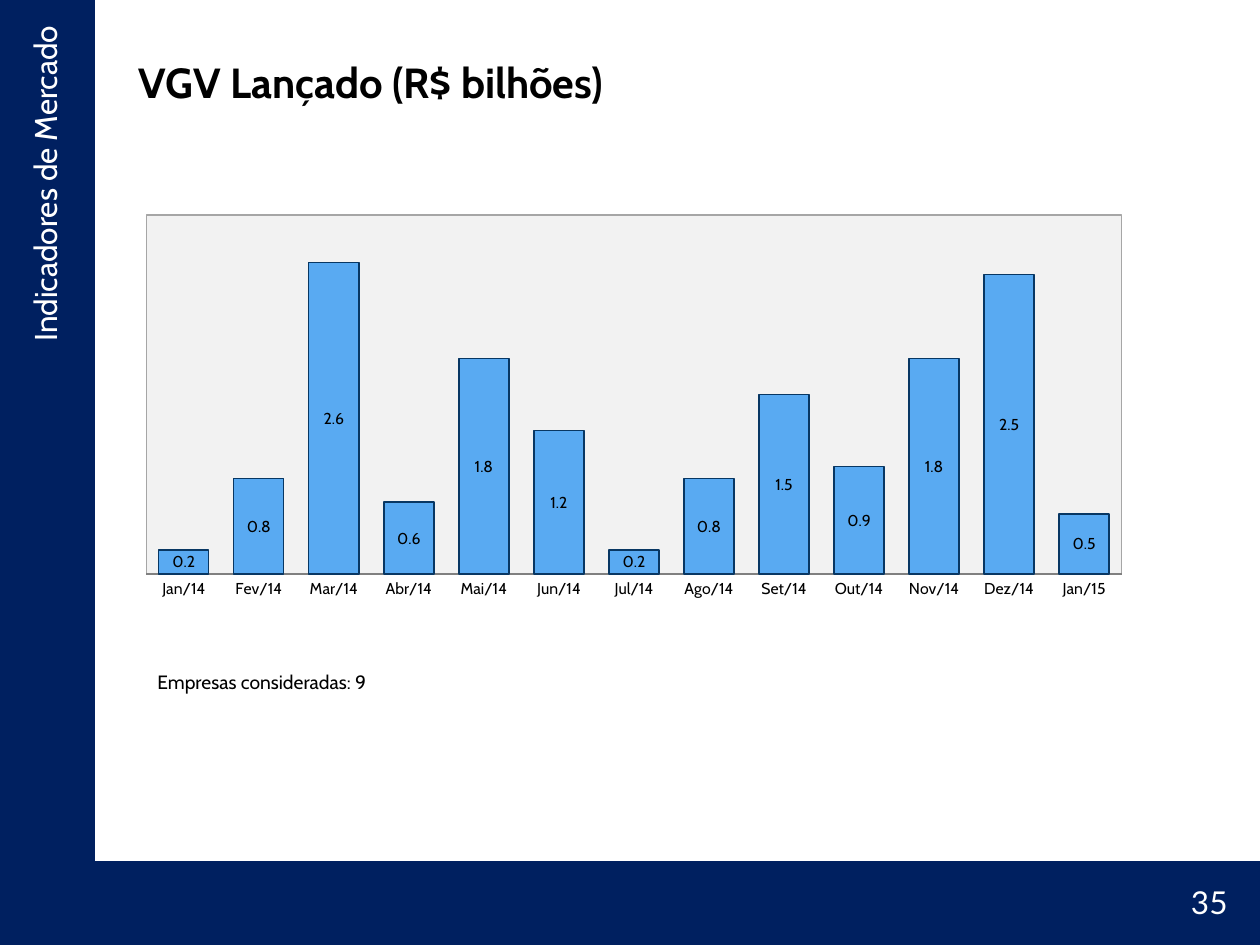
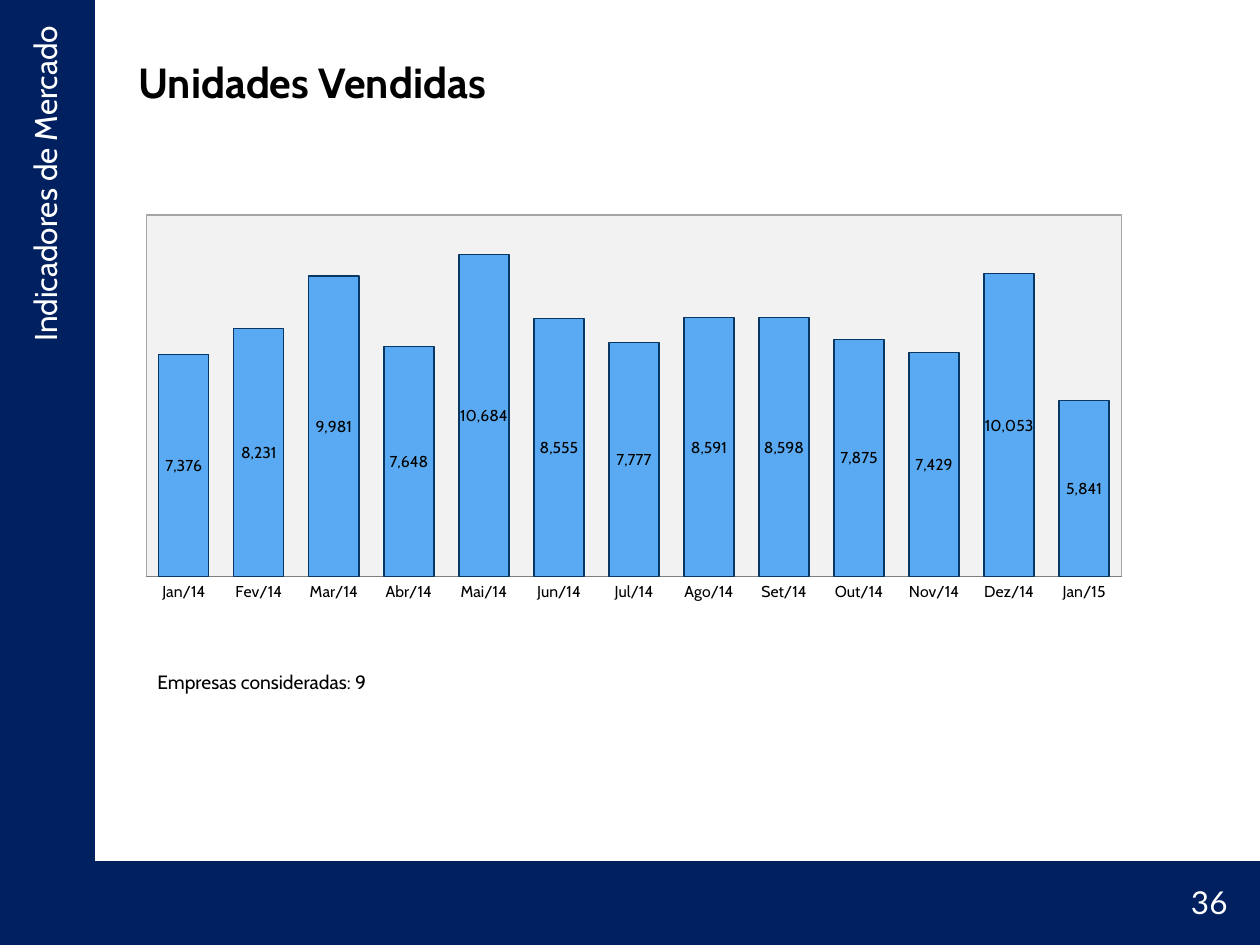
from pptx import Presentation
from pptx.chart.data import CategoryChartData
from pptx.dml.color import RGBColor
from pptx.enum.chart import XL_CHART_TYPE as ChartType, XL_LABEL_POSITION as LabelPosition
from pptx.enum.chart import XL_TICK_MARK as TickMark
from pptx.enum.shapes import MSO_SHAPE as Preset
from pptx.enum.text import MSO_ANCHOR as Anchor, PP_ALIGN as Align
from pptx.oxml import parse_xml
from pptx.oxml.ns import nsdecls
from pptx.util import Pt

EMU_PER_PX = 914400 / 126
WIDTH, HEIGHT = 1260, 945
BAND_WIDTH, BAND_TOP = 95, 861
COLORS = {
    "band": "002060", "light": "FFFFFF", "text": "000000", "plot": "F2F2F2",
    "frame": "A6A6A6", "axis": "808080", "bar": "59AAF2", "bar_line": "083763",
}
PLOT_BOX = {"x": 0.02, "y": 0.02, "w": 0.96, "h": 0.9}
MONTHS = ["Jan/14", "Fev/14", "Mar/14", "Abr/14", "Mai/14", "Jun/14", "Jul/14",
          "Ago/14", "Set/14", "Out/14", "Nov/14", "Dez/14", "Jan/15"]
FIRST_PAGE = 35
INDICATORS = [
    {"title": "VGV Lançado (R$ bilhões)", "height": 399, "maximum": 3, "number_format": "#,##0.0",
     "values": [0.2, 0.8, 2.6, 0.6, 1.8, 1.2, 0.2, 0.8, 1.5, 0.9, 1.8, 2.5, 0.5]},
    {"title": "Unidades Vendidas", "height": 402, "maximum": 12000, "number_format": "#,##0",
     "values": [7376, 8231, 9981, 7648, 10684, 8555, 7777, 8591, 8598, 7875, 7429, 10053, 5841]},
]


def px(*lengths):
    return [round(length * EMU_PER_PX) for length in lengths]


def color(name):
    return RGBColor.from_string(COLORS[name])


class Deck:
    """Holds the shared style and the current slide."""

    def __init__(self):
        self.presentation = Presentation()
        self.presentation.slide_width, self.presentation.slide_height = px(WIDTH, HEIGHT)
        self.slide = None

    def add_slide(self, title, page):
        self.slide = self.presentation.slides.add_slide(self.presentation.slide_layouts[6])
        self.band(0, BAND_TOP, WIDTH, HEIGHT - BAND_TOP)
        self.band(0, 0, BAND_WIDTH, BAND_TOP)
        section = self.text("Indicadores de Mercado", (-321, 354, 731, 50), 18, "light",
                            align=Align.RIGHT)
        section.rotation = 270
        heading = self.text(title, (126, 38, 1071, 88), 24, bold=True)
        heading.text_frame.vertical_anchor = Anchor.MIDDLE
        self.text(str(page), (1124, 877, 116, 50), 18, "light", font="Lato", align=Align.RIGHT)

    def band(self, *box):
        shape = self.slide.shapes.add_shape(Preset.RECTANGLE, *px(*box))
        shape.shadow.inherit = False
        shape.fill.solid()
        shape.fill.fore_color.rgb = color("band")
        shape.line.fill.background()

    def set_font(self, font, size, name="Cabin", color_name="text", bold=False):
        font.name = name
        font.size = Pt(size)
        font.bold = bold
        font.color.rgb = color(color_name)

    def text(self, words, box, size, color_name="text", font="Cabin", bold=False, align=Align.LEFT):
        shape = self.slide.shapes.add_textbox(*px(*box))
        shape.text_frame.word_wrap = True
        paragraph = shape.text_frame.paragraphs[0]
        paragraph.text = words
        paragraph.alignment = align
        self.set_font(paragraph.font, size, font, color_name, bold)
        return shape

    def column_chart(self, box, values, maximum, number_format):
        data = CategoryChartData(number_format=number_format)
        data.categories = MONTHS
        data.add_series("Series 1", values)
        chart = self.slide.shapes.add_chart(ChartType.COLUMN_STACKED, *px(*box), data).chart
        chart.has_legend = False
        chart.has_title = False
        self.set_font(chart.font, 10, "Lato")

        months = chart.category_axis
        months.major_tick_mark = months.minor_tick_mark = TickMark.NONE
        months.has_major_gridlines = False
        months.format.line.color.rgb = color("axis")
        months.format.line.width = Pt(0.75)
        self.set_font(months.tick_labels.font, 9)

        scale = chart.value_axis
        scale.minimum_scale, scale.maximum_scale = 0, maximum
        scale.has_major_gridlines = False
        scale.visible = False

        plot = chart.plots[0]
        plot.gap_width, plot.overlap = 50, 100
        plot.vary_by_categories = False
        bars = plot.series[0].format
        bars.fill.solid()
        bars.fill.fore_color.rgb = color("bar")
        bars.line.color.rgb = color("bar_line")
        bars.line.width = Pt(0.75)

        plot.has_data_labels = True
        labels = plot.data_labels
        labels.show_value = True
        labels.number_format = number_format
        labels.number_format_is_linked = False
        labels.position = LabelPosition.CENTER
        self.set_font(labels.font, 9)
        self.style_plot_area(chart)

    def style_plot_area(self, chart):
        area = chart.element.xpath("c:chart/c:plotArea")[0]
        for layout in area.xpath("c:layout"):
            area.remove(layout)
        modes = "".join(f'<c:{side}Mode val="edge"/>' for side in "xy")
        sizes = "".join(f'<c:{side} val="{share}"/>' for side, share in PLOT_BOX.items())
        area.insert(0, parse_xml(
            f'<c:layout {nsdecls("c")}><c:manualLayout><c:layoutTarget val="inner"/>'
            f'{modes}{sizes}</c:manualLayout></c:layout>'))
        fill, frame = (f'<a:solidFill><a:srgbClr val="{COLORS[name]}"/></a:solidFill>'
                       for name in ("plot", "frame"))
        area.append(parse_xml(
            f'<c:spPr {nsdecls("c", "a")}>{fill}<a:ln w="{Pt(0.75)}">{frame}</a:ln></c:spPr>'))


def main():
    deck = Deck()
    for page, indicator in enumerate(INDICATORS, FIRST_PAGE):
        deck.add_slide(indicator["title"], page)
        deck.column_chart((126, 207, 1016, indicator["height"]), indicator["values"],
                          indicator["maximum"], indicator["number_format"])
        deck.text("Empresas consideradas: 9", (145, 664, 267, 36), 11)
    deck.presentation.save("out.pptx")


if __name__ == "__main__":
    main()
